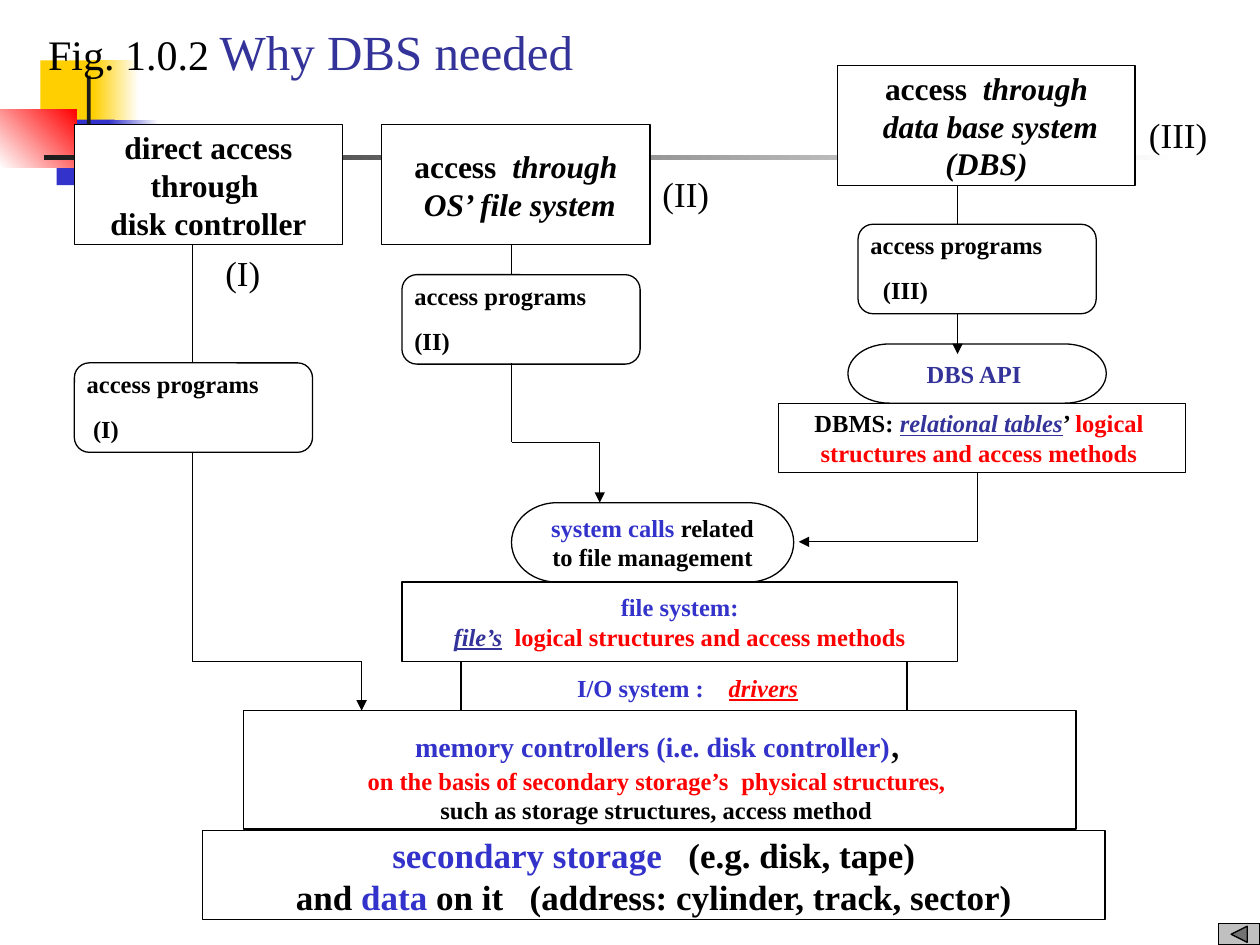
import itertools
from dataclasses import dataclass
from typing import Optional

import pptx
import pptx.dml.color
import pptx.enum.shapes
import pptx.enum.text
import pptx.oxml.ns
import pptx.util
from lxml import etree
from pptx.util import Inches

SHAPE = pptx.enum.shapes.MSO_SHAPE
ALIGN = pptx.enum.text.PP_ALIGN
ANCHOR = pptx.enum.text.MSO_ANCHOR


@dataclass(frozen=True)
class Theme:
    font: str = "Times New Roman"
    black: str = "000000"
    white: str = "FFFFFF"
    blue: str = "3333CC"
    navy: str = "333399"
    red: str = "FF0000"
    yellow: str = "FFCF01"
    charcoal: str = "1C1C1C"
    silver: str = "C0C0C0"
    title: int = 28
    figure: int = 24
    large: int = 20
    heading: int = 18
    medium: int = 16
    body: int = 14
    line: float = 0.75
    program_gap: float = 8.8


THEME = Theme()


@dataclass(frozen=True)
class Run:
    """A piece of a line; gap is the extra width after it, in word spaces."""
    text: str
    color: str = THEME.black
    size: Optional[int] = None
    bold: Optional[bool] = None
    italic: bool = False
    underline: bool = False
    gap: int = 0


def rgb(color):
    return pptx.dml.color.RGBColor.from_string(color)


def write_lines(frame, lines, size, bold=True, align=ALIGN.CENTER):
    for index, line in enumerate(lines):
        paragraph = frame.paragraphs[0] if index == 0 else frame.add_paragraph()
        paragraph.alignment = align
        for part in line:
            run = paragraph.add_run()
            run.text = part.text
            font = run.font
            font.name = THEME.font
            font.size = pptx.util.Pt(part.size or size)
            font.bold = bold if part.bold is None else part.bold
            font.italic = part.italic
            font.underline = part.underline
            font.color.rgb = rgb(part.color)
            if part.gap:
                word_space = 25 * (part.size or size)
                run._r.get_or_add_rPr().set("spc", str(part.gap * word_space))


def add_block(slide, at, kind=SHAPE.RECTANGLE, fill=None, outlined=True):
    block = slide.shapes.add_shape(kind, *map(Inches, at))
    block.shadow.inherit = False
    if fill:
        block.fill.solid()
        block.fill.fore_color.rgb = rgb(fill)
    else:
        block.fill.background()
    if outlined:
        block.line.color.rgb = rgb(THEME.black)
        block.line.width = pptx.util.Pt(THEME.line)
    else:
        block.line.fill.background()
    return block


def add_labelled_block(slide, at, size, lines, kind=SHAPE.RECTANGLE, fill=None):
    frame = add_block(slide, at, kind, fill).text_frame
    frame.word_wrap = False
    frame.vertical_anchor = ANCHOR.MIDDLE
    write_lines(frame, lines, size)


def add_fade(slide, at, start, end, angle=0):
    fill = add_block(slide, at, outlined=False).fill
    fill.gradient()
    fill.gradient_angle = angle
    for stop, color, position in zip(fill.gradient_stops, (start, end), (0, 1)):
        stop.color.rgb = rgb(color)
        stop.position = position


def add_text(slide, at, wrap):
    frame = slide.shapes.add_textbox(*map(Inches, at)).text_frame
    frame.word_wrap = wrap
    frame.auto_size = pptx.enum.text.MSO_AUTO_SIZE.NONE
    return frame


def add_route_number(slide, at, numeral):
    write_lines(add_text(slide, at, False), [[Run(f"({numeral})")]],
                THEME.large, bold=False, align=ALIGN.LEFT)


def add_access_program(slide, left, top, numeral, indent):
    add_block(slide, (left, top, 1.89, 0.71), SHAPE.ROUNDED_RECTANGLE)
    frame = add_text(slide, (left, top, 2.13, 0.69), True)
    write_lines(frame, [[Run("access programs")], [Run(f"({numeral})")]],
                THEME.body, align=ALIGN.LEFT)
    number = frame.paragraphs[1]
    number.space_before = pptx.util.Pt(THEME.program_gap)
    number._p.get_or_add_pPr().set("marL", str(Inches(indent)))


def add_route(slide, points, arrow=False):
    """Join the points with straight lines, with an arrowhead at the last one."""
    for start, end in itertools.pairwise(points):
        line = slide.shapes.add_connector(
            pptx.enum.shapes.MSO_CONNECTOR.STRAIGHT, *map(Inches, start + end))
        line.line.color.rgb = rgb(THEME.black)
        line.line.width = pptx.util.Pt(THEME.line)
        etree.SubElement(line.element.spPr, pptx.oxml.ns.qn("a:effectLst"))
    if arrow:
        etree.SubElement(line.line._get_or_add_ln(),
                         pptx.oxml.ns.qn("a:tailEnd"), type="triangle")


def add_decoration(slide):
    add_block(slide, (0.32, 0.48, 0.48, 0.52), fill=THEME.yellow, outlined=False)
    add_fade(slide, (0.74, 0.48, 0.36, 0.52), THEME.yellow, THEME.white)
    add_block(slide, (0.45, 0.95, 0.46, 0.52), fill=THEME.blue, outlined=False)
    add_fade(slide, (0.86, 0.95, 0.4, 0.52), THEME.blue, THEME.white)
    add_fade(slide, (0, 0.87, 0.61, 0.46), THEME.white, THEME.red, angle=45)
    add_block(slide, (0.69, 0.6, 0.03, 1.15), fill=THEME.charcoal, outlined=False)
    add_fade(slide, (0.35, 1.23, 9, 0.04), THEME.charcoal, THEME.white)


def place_title(slide):
    title = slide.shapes.title
    title.left, title.top, title.width, title.height = map(
        Inches, (-0.17, 0, 5.27, 0.69))
    title.text_frame.vertical_anchor = ANCHOR.BOTTOM
    write_lines(title.text_frame, [[Run("Fig. 1.0.2 ", size=THEME.figure),
                                    Run("Why DBS needed", THEME.navy)]],
                THEME.title, bold=False)
    title.element.getparent().append(title.element)  # in front of the decoration


def add_storage_layers(slide):
    t = THEME
    add_labelled_block(slide, (1.61, 6.59, 7.16, 0.71), t.large, [
        [Run("secondary storage", t.blue), Run(" ", gap=2), Run("(e.g. disk, tape)")],
        [Run("and "), Run("data", t.blue), Run(" on it"), Run(" ", gap=2),
         Run("(address: cylinder, track, sector)")]], fill=t.white)
    add_labelled_block(slide, (1.93, 5.64, 6.61, 0.94), t.body, [
        [Run(" ", size=t.medium),
         Run("memory controllers (i.e. disk controller)", t.blue, t.medium),
         Run(", ", size=t.figure, bold=False)],
        [Run("on the basis of secondary storage’s", t.red), Run(" ", t.red, gap=1),
         Run("physical structures, ", t.red)],
        [Run("such as storage structures, access method ")]], fill=t.white)
    add_labelled_block(slide, (3.66, 5.25, 3.54, 0.39), t.body, [
        [Run(" ", size=t.medium), Run("I/O system :", t.blue), Run(" ", gap=3),
         Run("drivers", t.red, italic=True, underline=True)]])
    add_labelled_block(slide, (3.19, 4.62, 4.41, 0.63), t.body, [
        [Run("file system:", t.blue)],
        [Run("file’s", t.navy, italic=True, underline=True), Run(" ", gap=1),
         Run("logical structures and access methods", t.red)]])
    add_labelled_block(slide, (4.06, 3.99, 2.24, 0.63), t.body, [
        [Run("system calls ", t.blue), Run("related")],
        [Run(" to file management ")]], SHAPE.FLOWCHART_TERMINATOR)


def add_access_ways(slide):
    t = THEME
    through = [Run("access"), Run(" ", gap=1), Run("through", italic=True)]
    ways = [
        ((0.59, 0.99, 2.13, 0.95),
         [[Run("direct access")], [Run("through ")], [Run("disk controller")]]),
        ((3.03, 0.99, 2.13, 0.95),
         [through, [Run(" OS’ file system", italic=True)]]),
        ((6.65, 0.52, 2.36, 0.95),
         [through, [Run(" data base system", italic=True)],
          [Run("(DBS)", italic=True)]]),
    ]
    for at, lines in ways:
        add_labelled_block(slide, at, t.heading, lines, fill=t.white)
    add_route_number(slide, (1.69, 1.95, 0.5, 0.44), "I")
    add_route_number(slide, (5.16, 1.32, 0.6, 0.44), "II")
    add_route_number(slide, (9.02, 0.85, 0.75, 0.44), "III")
    add_access_program(slide, 0.59, 2.88, "I", 0.05)
    add_access_program(slide, 3.19, 2.18, "II", 0)
    add_access_program(slide, 6.81, 1.78, "III", 0.1)
    add_labelled_block(slide, (6.18, 3.2, 3.23, 0.55), t.body, [
        [Run("DBMS: "), Run("relational tables", t.navy, italic=True, underline=True),
         Run("’ "), Run("logical ", t.red)],
        [Run("structures and access methods ", t.red)]])
    add_labelled_block(slide, (6.73, 2.73, 2.05, 0.47), t.body,
                       [[Run("DBS API ", t.navy)]], SHAPE.FLOWCHART_TERMINATOR)


def add_routes(slide):
    add_route(slide, [(1.53, 1.94), (1.53, 2.88)])
    add_route(slide, [(1.53, 3.59), (1.53, 5.25), (2.87, 5.25), (2.87, 5.64)], True)
    add_route(slide, [(4.06, 1.94), (4.06, 2.18)])
    add_route(slide, [(4.06, 2.88), (4.06, 3.51), (4.76, 3.51), (4.76, 3.99)], True)
    add_route(slide, [(7.6, 1.47), (7.6, 1.78)])
    add_route(slide, [(7.6, 2.49), (7.6, 2.81)], True)
    add_route(slide, [(7.76, 3.75), (7.76, 4.3), (6.34, 4.3)], True)


def main():
    deck = pptx.Presentation()
    deck.slide_width, deck.slide_height = Inches(10), Inches(7.5)
    slide = deck.slides.add_slide(deck.slide_layouts[5])
    add_decoration(slide)
    place_title(slide)
    add_storage_layers(slide)
    add_access_ways(slide)
    add_routes(slide)
    add_block(slide, (9.67, 7.33, 0.33, 0.17),
              SHAPE.ACTION_BUTTON_BACK_OR_PREVIOUS, THEME.silver)
    deck.save("out.pptx")


if __name__ == "__main__":
    main()
